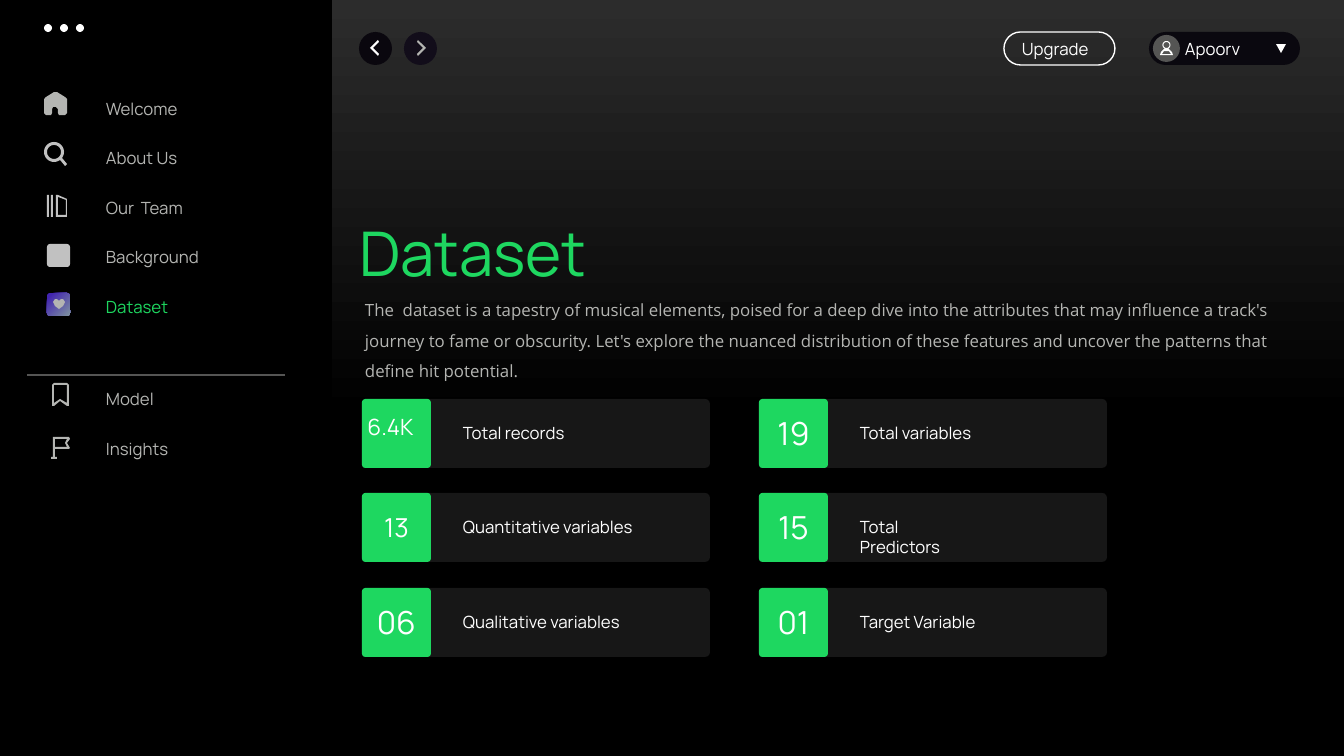
from dataclasses import dataclass
from math import cos, sin, tau

from lxml import etree
from pptx import Presentation
from pptx.dml.color import RGBColor
from pptx.enum.shapes import MSO_CONNECTOR, MSO_SHAPE
from pptx.enum.text import MSO_ANCHOR, MSO_AUTO_SIZE, PP_ALIGN
from pptx.oxml.ns import qn
from pptx.util import Pt

RECT = MSO_SHAPE.RECTANGLE
ROUND = MSO_SHAPE.ROUNDED_RECTANGLE
OVAL = MSO_SHAPE.OVAL
WEDGE = MSO_SHAPE.ISOSCELES_TRIANGLE
STRAIGHT = MSO_CONNECTOR.STRAIGHT
TOP, MIDDLE = MSO_ANCHOR.TOP, MSO_ANCHOR.MIDDLE
LEFT, CENTER = PP_ALIGN.LEFT, PP_ALIGN.CENTER
GROW, FIXED = MSO_AUTO_SIZE.SHAPE_TO_FIT_TEXT, MSO_AUTO_SIZE.NONE
WIDE, HIGH = 1344, 756
UNIT = 9144000 / WIDE


@dataclass(frozen=True)
class Theme:
    black: str = "000000"
    white: str = "FFFFFF"
    green: str = "1ED760"
    muted: str = "B4B5B2"
    icon: str = "C1C1C1"
    card: str = "171717"
    dusk: str = "2C2C2C"
    rule: str = "555554"
    back: str = "0A070E"
    ahead: str = "120D1A"
    pill: str = "0A080F"
    violet: str = "4224B0"
    steel: str = "7F93A0"
    face: str = "Manrope"
    prose: str = "Open Sans"
    small: int = 9
    title: int = 33
    hair: float = 0.75


THEME = Theme()

MENU = ["Welcome", "About Us", "Our  Team", "Background", "Dataset"]
EXTRA = ["Model", "Insights"]
INTRO = (
    "The  dataset is a tapestry of musical elements, poised for a deep dive into "
    "the attributes that may influence a track's journey to fame or obscurity. "
    "Let's explore the nuanced distribution of these features and uncover the "
    "patterns that define hit potential."
)
CARDS = [
    [("6.4K", 12, -6, "Total records", 137), ("19", 17, 0, "Total variables", 165)],
    [("13", 14, 0, "Quantitative variables", 230), ("15", 17, 0, "Total Predictors", 136)],
    [("06", 17, 0, "Qualitative variables", 245), ("01", 17, 0, "Target Variable", 138)],
]
ARROW = [(378, 56), (370, 48), (378, 40), (379, 42), (373, 48), (379, 54)]
HOME = [(44, 99), (46, 97), (54, 92), (57, 92), (65, 97), (67, 99), (67, 113), (65, 115),
        (59, 115), (58, 113), (58, 109), (56, 107), (53, 107), (52, 109), (52, 113),
        (51, 115), (46, 115), (44, 113)]
GRIP = [(60, 160), (62, 158), (67, 164), (65, 166)]
BOOK = [[(56, 217), (56, 195), (58, 195), (67, 199), (67, 217)],
        [(58, 215), (66, 215), (66, 200), (58, 197)]]
HEART = [(59, 301), (57, 299), (55, 299), (53, 302), (55, 306), (59, 309),
         (63, 306), (65, 302), (63, 299), (61, 299)]
MARK = [[(52, 406), (52, 385), (54, 383), (67, 383), (69, 385), (69, 406), (67, 406),
         (60, 401), (54, 406)],
        [(54, 403), (60, 399), (67, 403), (67, 385), (54, 385)]]
FLAG = [[(51, 459), (51, 457), (53, 457), (53, 437), (69, 437), (70, 439), (67, 443),
         (70, 448), (69, 449), (55, 449), (55, 457), (57, 457), (57, 459)],
        [(55, 447), (67, 447), (65, 443), (67, 439), (55, 439)]]
BUST = [[(1160, 55), (1161, 52), (1164, 49), (1169, 49), (1172, 52), (1173, 55)],
        [(1162, 54), (1164, 51), (1169, 51), (1171, 54)]]


def px(*sizes):
    return [round(size * UNIT) for size in sizes]


def rgb(code):
    return RGBColor.from_string(code)


def apply(item, values):
    for name, value in values.items():
        setattr(item, name, value)


def blend(fill, stops, angle):
    fill.gradient()
    fill.gradient_angle = angle
    for stop, (place, color) in zip(fill.gradient_stops, stops):
        stop.position = place
        stop.color.rgb = rgb(color)


def paint(item, color, edge=None):
    item.shadow.inherit = False
    if color:
        item.fill.solid()
        item.fill.fore_color.rgb = rgb(color)
    else:
        item.fill.background()
    if edge:
        item.line.color.rgb = rgb(edge)
        item.line.width = Pt(THEME.hair)
    else:
        item.line.fill.background()


def shape(slide, kind, box, color, edge=None, curve=None):
    item = slide.shapes.add_shape(kind, *px(*box))
    paint(item, color, edge)
    if curve is not None:
        item.adjustments[0] = curve
    return item


def trace(slide, loops, color):
    loops = [[px(*point) for point in loop] for loop in loops]
    pen = slide.shapes.build_freeform(*loops[0][0], scale=1.0)
    pen.add_line_segments(loops[0][1:], close=True)
    for loop in loops[1:]:
        pen.move_to(*loop[0])
        pen.add_line_segments(loop[1:], close=True)
    paint(pen.convert_to_shape(), color)


def ring(x, y, outer, inner, count=32):
    turns = [tau * step / count for step in range(count)]
    return [[(x + reach * cos(turn), y + reach * sin(turn)) for turn in turns]
            for reach in (outer, inner)]


def write(slide, words, box, color, size=THEME.small, face=THEME.face,
          align=LEFT, anchor=TOP, fit=GROW, lead=None):
    frame = slide.shapes.add_textbox(*px(*box)).text_frame
    side, edge = px(10, 5)
    apply(frame, {"word_wrap": True, "auto_size": fit, "vertical_anchor": anchor,
                  "margin_left": side, "margin_right": side,
                  "margin_top": edge, "margin_bottom": edge})
    para = frame.paragraphs[0]
    apply(para, {"alignment": align, "line_spacing": lead})
    run = para.add_run()
    run.text = words
    apply(run.font, {"name": face, "size": Pt(size)})
    run.font.color.rgb = rgb(color)


def rule(slide, start, end, color):
    line = slide.shapes.add_connector(STRAIGHT, *px(*start, *end))
    line.line.color.rgb = rgb(color)
    line.line.width = Pt(THEME.hair)
    etree.SubElement(line._element.spPr, qn("a:effectLst"))


def sidebar(slide):
    shape(slide, RECT, (0, 0, 332, HIGH), THEME.black)
    for step in range(3):
        shape(slide, OVAL, (44 + 16 * step, 24, 8, 8), THEME.white)
    for row, words in enumerate(MENU):
        color = THEME.green if words == "Dataset" else THEME.muted
        write(slide, words, (96, 94 + row * 99 // 2, 140, 31), color)
    rule(slide, (27, 375), (285, 375), THEME.rule)
    for row, words in enumerate(EXTRA):
        write(slide, words, (96, 384 + 50 * row, 140, 31), THEME.muted)


def icons(slide):
    trace(slide, [HOME], THEME.muted)
    trace(slide, ring(54, 152, 10, 7) + [GRIP], THEME.icon)
    for left in (47, 51):
        shape(slide, RECT, (left, 195, 2, 22), THEME.icon)
    trace(slide, BOOK, THEME.icon)
    shape(slide, ROUND, (47, 244, 23, 23), THEME.icon, curve=0.13)
    tile = shape(slide, ROUND, (47, 293, 23, 23), THEME.violet, curve=0.13)
    blend(tile.fill, [(0.11, THEME.violet), (1, THEME.steel)], 315)
    trace(slide, [HEART], THEME.muted)
    trace(slide, MARK, THEME.muted)
    trace(slide, FLAG, THEME.muted)


def header(slide):
    shape(slide, OVAL, (359, 32, 33, 33), THEME.back)
    trace(slide, [ARROW], THEME.white)
    shape(slide, OVAL, (404, 32, 33, 33), THEME.ahead)
    trace(slide, [[(796 - x, y) for x, y in ARROW]], THEME.muted)
    shape(slide, ROUND, (1004, 32, 111, 33), None, THEME.white, 0.5)
    write(slide, "Upgrade", (1012, 34, 96, 31), THEME.white)
    shape(slide, ROUND, (1149, 32, 151, 33), THEME.pill, curve=0.5)
    write(slide, "Apoorv", (1175, 34, 101, 31), THEME.white)
    shape(slide, OVAL, (1153, 35, 27, 27), THEME.rule)
    trace(slide, ring(1166.5, 45, 4, 3) + BUST, THEME.white)
    shape(slide, WEDGE, (1276, 44, 10, 9), THEME.white).rotation = 180


def card(slide, left, top, number, size, shift, label, width):
    shape(slide, ROUND, (left, top, 348, 69), THEME.card, curve=0.07)
    shape(slide, ROUND, (left, top, 69, 69), THEME.green, curve=0.05)
    write(slide, number, (left + shift, top + 10 + shift, 69, 48), THEME.white,
          size, align=CENTER, anchor=MIDDLE, fit=FIXED)
    write(slide, label, (left + 91, top + 19, width, 31), THEME.white)


def main():
    deck = Presentation()
    deck.slide_width, deck.slide_height = px(WIDE, HIGH)
    slide = deck.slides.add_slide(deck.slide_layouts[6])
    blend(slide.background.fill, [(0, THEME.dusk), (0.55, THEME.black)], 270)
    sidebar(slide)
    icons(slide)
    header(slide)
    write(slide, "Dataset", (349, 210, 410, 85), THEME.green, THEME.title)
    write(slide, INTRO, (355, 285, 945, 102), THEME.muted, face=THEME.prose, lead=1.5)
    for row, pair in enumerate(CARDS):
        for col, facts in enumerate(pair):
            card(slide, 362 + 397 * col, 399 + row * 189 // 2, *facts)
    deck.save("out.pptx")


if __name__ == "__main__":
    main()
